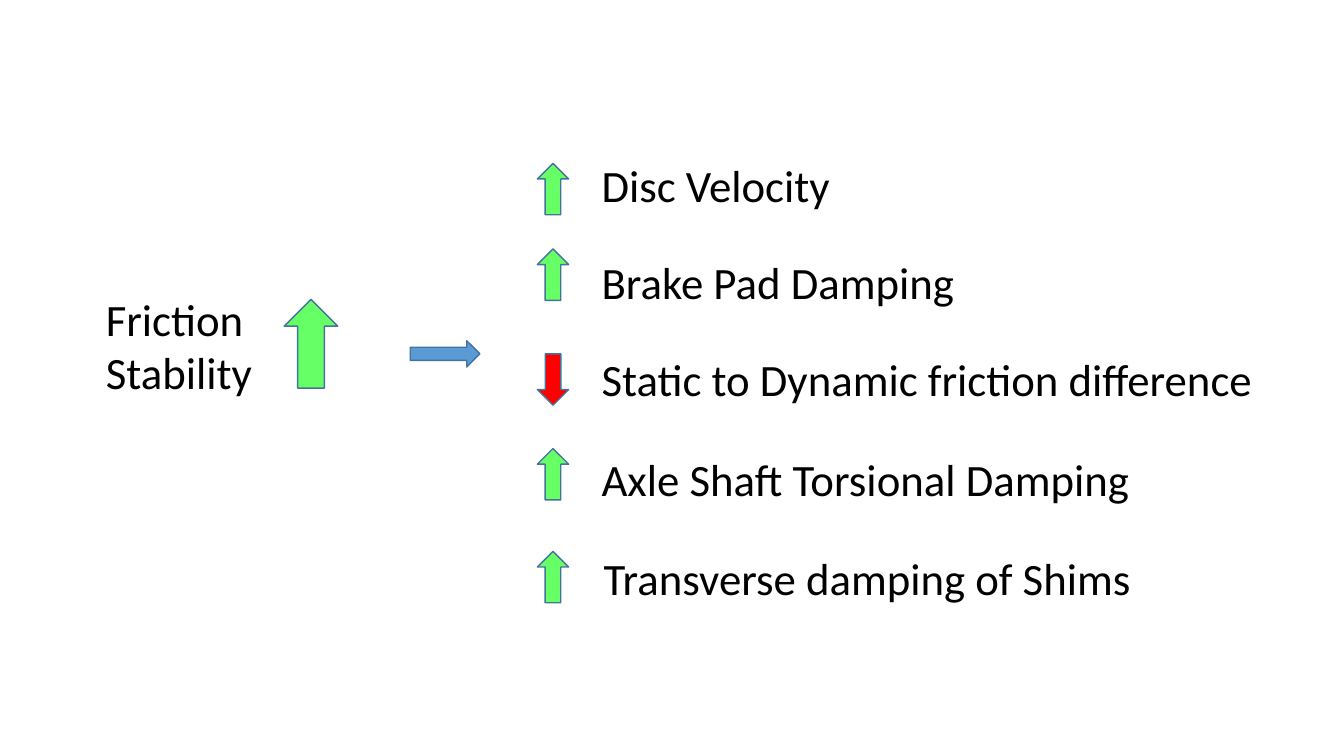
from dataclasses import dataclass

from pptx import Presentation
from pptx.dml.color import RGBColor
from pptx.enum.shapes import MSO_SHAPE
from pptx.enum.text import MSO_AUTO_SIZE
from pptx.slide import Slide
from pptx.util import Emu, Inches, Pt


@dataclass(frozen=True)
class Theme:
    font: str = "Calibri"
    text_size: Pt = Pt(32)
    outline_width: Pt = Pt(1)
    text: RGBColor = RGBColor(0x00, 0x00, 0x00)
    increase: RGBColor = RGBColor(0x66, 0xFF, 0x66)
    decrease: RGBColor = RGBColor(0xFF, 0x00, 0x00)
    implies: RGBColor = RGBColor(0x5B, 0x9B, 0xD5)
    outline: RGBColor = RGBColor(0x43, 0x73, 0x9E)


@dataclass(frozen=True)
class Frame:
    """A rectangle in percent of the slide's width and height."""
    left: float
    top: float
    width: float
    height: float

    def lengths(self) -> tuple[Emu, Emu, Emu, Emu]:
        return (
            Emu(int(SLIDE_WIDTH * self.left / 100)),
            Emu(int(SLIDE_HEIGHT * self.top / 100)),
            Emu(int(SLIDE_WIDTH * self.width / 100)),
            Emu(int(SLIDE_HEIGHT * self.height / 100)),
        )


@dataclass(frozen=True)
class Effect:
    label: str
    label_top: float
    label_width: float
    arrow_top: float
    rises: bool = True
    label_left: float = 44.02


THEME = Theme()
SLIDE_WIDTH = Inches(13.333)
SLIDE_HEIGHT = Inches(7.5)

ARROW_LEFT, ARROW_WIDTH, ARROW_HEIGHT = 39.98, 2.33, 6.8
LABEL_HEIGHT = 8.53

EFFECTS = [
    Effect("Disc Velocity", 20.27, 18.68, 21.6),
    Effect("Brake Pad Damping", 33.07, 28.05, 32.93),
    Effect("Static to Dynamic friction difference", 45.87, 50.55, 46.8, rises=False),
    Effect("Axle Shaft Torsional Damping", 59.07, 41.32, 59.33),
    Effect("Transverse damping of Shims", 72.13, 41.18, 72.93, label_left=44.17),
]


def add_label(slide: Slide, text: str, frame: Frame, wrap: bool = False) -> None:
    box = slide.shapes.add_textbox(*frame.lengths())
    box.text_frame.word_wrap = wrap
    box.text_frame.auto_size = MSO_AUTO_SIZE.SHAPE_TO_FIT_TEXT
    span = box.text_frame.paragraphs[0].add_run()
    span.text = text
    span.font.name = THEME.font
    span.font.size = THEME.text_size
    span.font.color.rgb = THEME.text


def add_arrow(slide: Slide, kind: MSO_SHAPE, frame: Frame, fill: RGBColor,
              rotation: float = 0) -> None:
    arrow = slide.shapes.add_shape(kind, *frame.lengths())
    arrow.rotation = rotation
    arrow.shadow.inherit = False
    arrow.fill.solid()
    arrow.fill.fore_color.rgb = fill
    arrow.line.color.rgb = THEME.outline
    arrow.line.width = THEME.outline_width


def add_effect(slide: Slide, effect: Effect) -> None:
    add_label(slide, effect.label, Frame(
        effect.label_left, effect.label_top, effect.label_width, LABEL_HEIGHT))
    add_arrow(
        slide, MSO_SHAPE.UP_ARROW,
        Frame(ARROW_LEFT, effect.arrow_top, ARROW_WIDTH, ARROW_HEIGHT),
        THEME.increase if effect.rises else THEME.decrease,
        rotation=0 if effect.rises else 180,
    )


def main() -> None:
    deck = Presentation()
    deck.slide_width = SLIDE_WIDTH
    deck.slide_height = SLIDE_HEIGHT
    blank_layout = deck.slide_layouts[6]
    page = deck.slides.add_slide(blank_layout)

    add_label(page, "Friction Stability", Frame(7.13, 37.87, 13.13, 15.73), wrap=True)
    add_arrow(page, MSO_SHAPE.UP_ARROW, Frame(21.15, 39.6, 3.98, 11.73), THEME.increase)
    for effect in EFFECTS:
        add_effect(page, effect)
    add_arrow(page, MSO_SHAPE.RIGHT_ARROW, Frame(30.53, 45.07, 5.18, 3.47), THEME.implies)

    deck.save("out.pptx")


if __name__ == "__main__":
    main()
